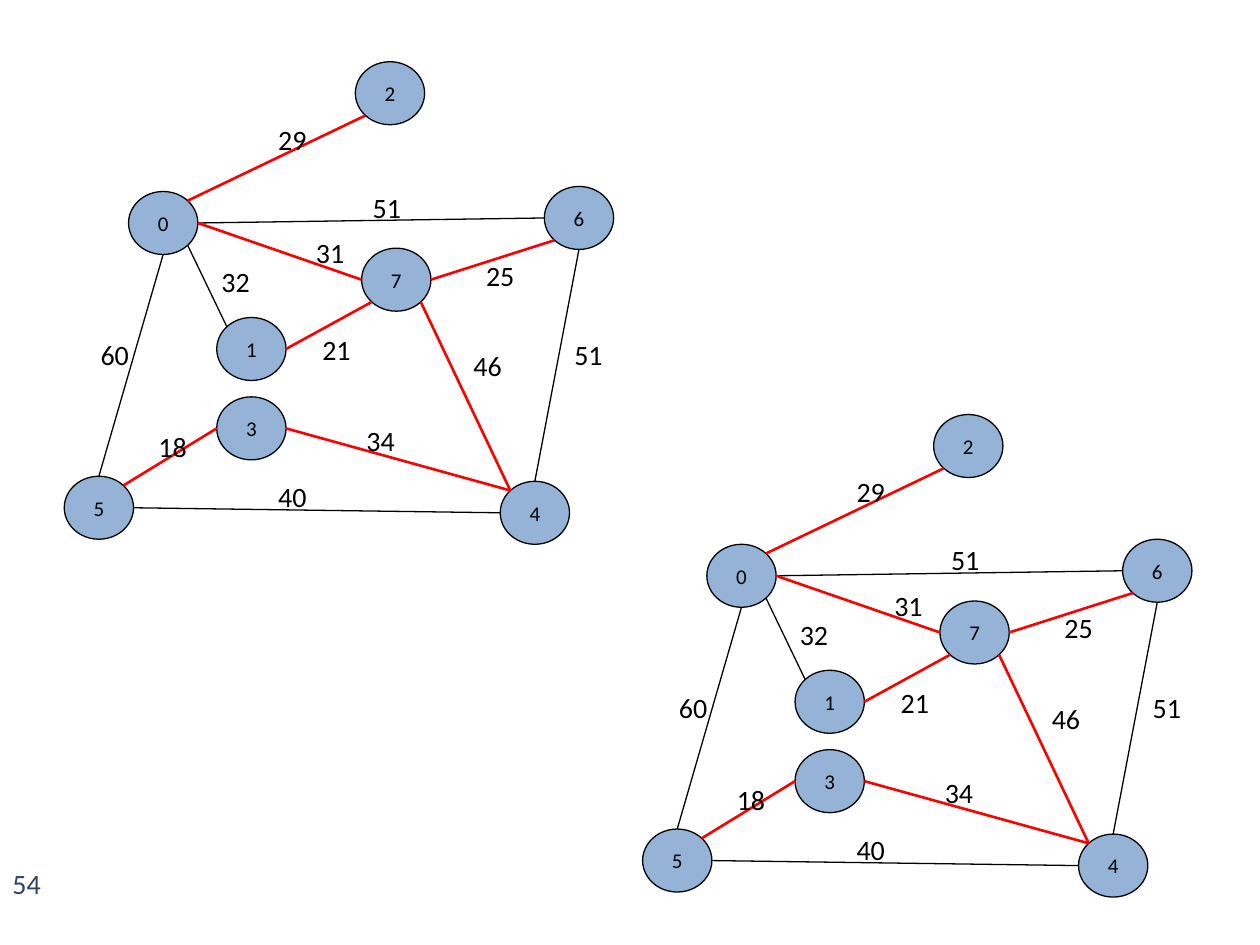
from math import cos, radians, sin

from lxml.etree import SubElement
from pptx import Presentation
from pptx.dml.color import RGBColor
from pptx.enum.shapes import MSO_CONNECTOR, MSO_SHAPE
from pptx.enum.text import MSO_ANCHOR, PP_ALIGN
from pptx.oxml.ns import qn
from pptx.util import Inches, Pt

THEME = {
    "font": "Calibri", "ink": "000000", "tree": "FF0000",
    "node": "95B3D7", "page": "344068",
    "small": 12, "large": 16, "thin": 0.75, "thick": 1.5,
}

# Left and top of each node in the first graph
NODES = {
    0: (1.02, 1.52), 4: (3.97, 3.82), 3: (1.72, 3.15), 5: (0.51, 3.78),
    1: (1.72, 2.52), 7: (2.87, 1.97), 6: (4.32, 1.48), 2: (2.82, 0.49),
}
# From, its side, to, its side, weight, left and top of the weight, in tree
EDGES = [
    (0, "NE", 2, "SW", 29, (2.11, 0.92), True),
    (0, "E", 6, "W", 51, (2.86, 1.46), False),
    (0, "E", 7, "W", 31, (2.41, 1.82), True),
    (0, "SE", 1, "NW", 32, (1.66, 2.05), False),
    (0, "S", 5, "N", 60, (0.7, 2.63), False),
    (5, "NE", 3, "W", 18, (1.16, 3.36), True),
    (3, "E", 4, "NW", 34, (2.81, 3.31), True),
    (5, "E", 4, "W", 40, (2.11, 3.76), False),
    (1, "E", 7, "SW", 21, (2.46, 2.59), True),
    (7, "E", 6, "SW", 25, (3.76, 2.0), True),
    (7, "SE", 4, "NW", 46, (3.66, 2.72), True),
    (6, "S", 4, "N", 51, (4.46, 2.63), False),
]
SHIFTS = [(0, 0), (4.59, 2.8)]
NODE = (0.55, 0.5)
LABEL = (0.43, 0.37)
PAGE = ("54", (0, 6.83), (0.58, 0.42))
SIDES = ["E", "SE", "S", "SW", "W", "NW", "N", "NE"]


def color(key):
    return RGBColor.from_string(THEME[key])


def write(shape, text, size="large", ink="ink", align=PP_ALIGN.LEFT,
          anchor=MSO_ANCHOR.TOP, wrap=False):
    frame = shape.text_frame
    frame.word_wrap = wrap
    frame.vertical_anchor = anchor
    para = frame.paragraphs[0]
    para.alignment = align
    run = para.add_run()
    run.text = str(text)
    run.font.name = THEME["font"]
    run.font.size = Pt(THEME[size])
    run.font.color.rgb = color(ink)


def box(spot, size):
    return [Inches(n) for n in (*spot, *size)]


def move(spot, shift):
    return spot[0] + shift[0], spot[1] + shift[1]


def rim(node, side, shift):
    """Return the point on a node's outline at a compass side."""
    left, top = move(NODES[node], shift)
    turn = radians(45 * SIDES.index(side))
    wide, high = NODE
    return (Inches(left + wide / 2 * (1 + cos(turn))),
            Inches(top + high / 2 * (1 + sin(turn))))


def add_node(slide, name, spot):
    oval = slide.shapes.add_shape(MSO_SHAPE.OVAL, *box(spot, NODE))
    oval.shadow.inherit = False
    oval.fill.solid()
    oval.fill.fore_color.rgb = color("node")
    oval.line.color.rgb = color("ink")
    oval.line.width = Pt(THEME["thin"])
    write(oval, name, size="small", align=PP_ALIGN.CENTER,
          anchor=MSO_ANCHOR.MIDDLE)


def add_edge(slide, start, end, tree):
    edge = slide.shapes.add_connector(MSO_CONNECTOR.STRAIGHT, *start, *end)
    edge.line.color.rgb = color("tree" if tree else "ink")
    edge.line.width = Pt(THEME["thick" if tree else "thin"])
    SubElement(edge._element.spPr, qn("a:effectLst"))


def add_label(slide, text, spot, size=LABEL, **style):
    write(slide.shapes.add_textbox(*box(spot, size)), text, **style)


def add_graph(slide, shift):
    for name, spot in NODES.items():
        add_node(slide, name, move(spot, shift))
    for a, out, b, into, _, _, tree in EDGES:
        add_edge(slide, rim(a, out, shift), rim(b, into, shift), tree)
    for *_, weight, spot, _ in EDGES:
        add_label(slide, weight, move(spot, shift))


def main():
    deck = Presentation()
    deck.slide_width, deck.slide_height = Inches(10), Inches(7.5)
    slide = deck.slides.add_slide(deck.slide_layouts[6])
    add_label(slide, *PAGE, ink="page", wrap=True)
    for shift in SHIFTS:
        add_graph(slide, shift)
    deck.save("out.pptx")


if __name__ == "__main__":
    main()
